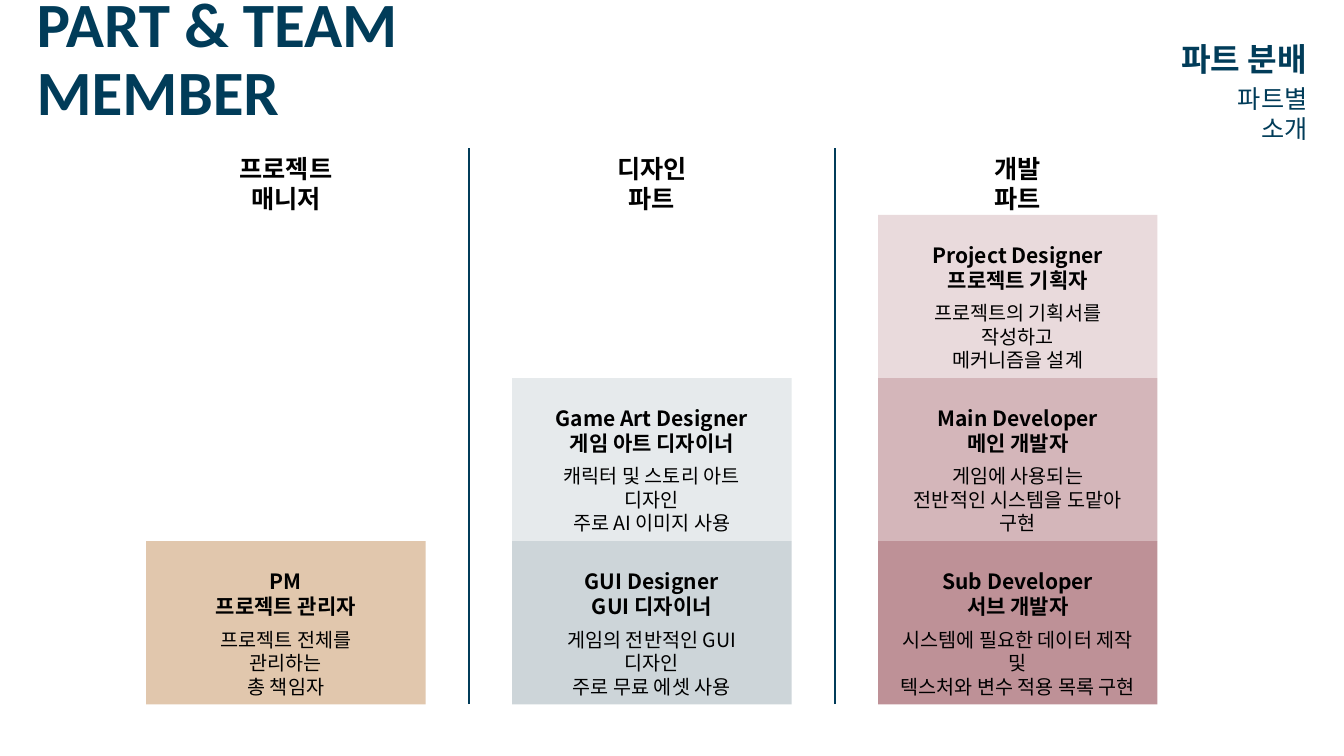
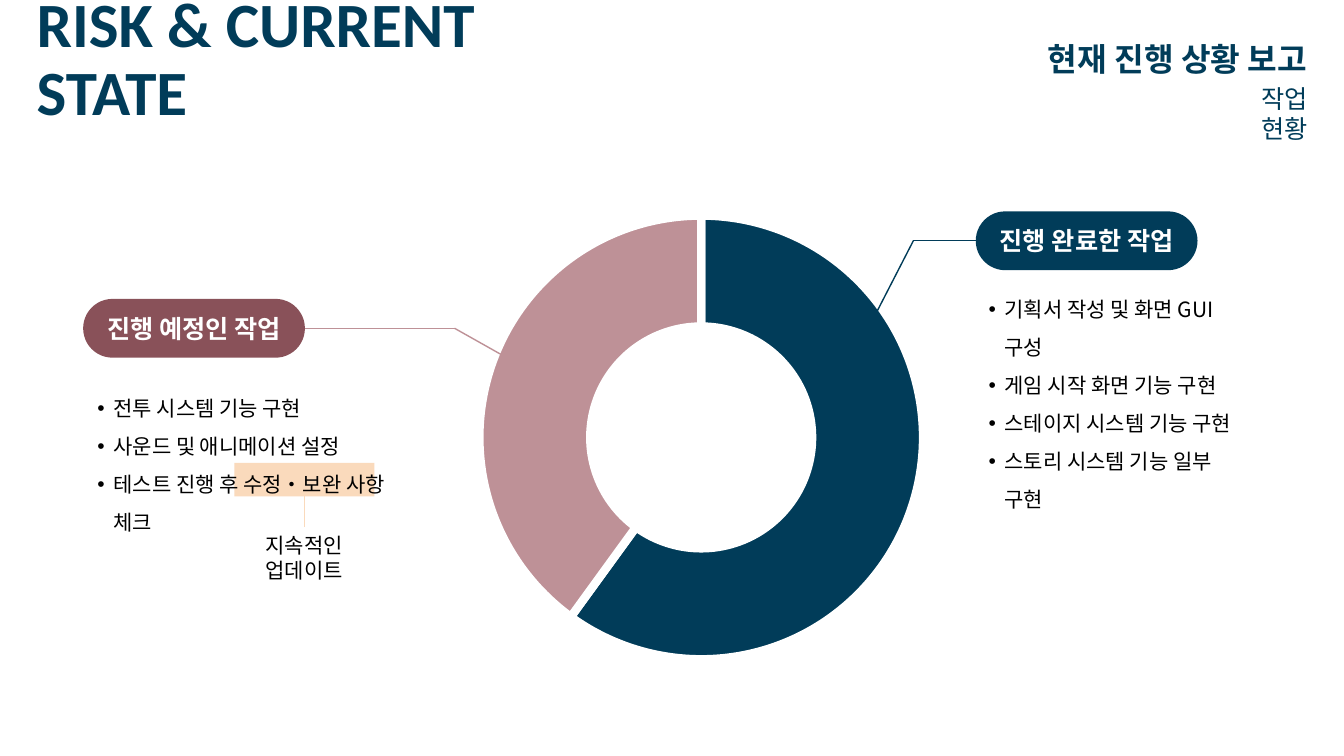
from lxml import etree
from pptx import Presentation
from pptx import oxml
from pptx.chart.data import CategoryChartData
from pptx.dml.color import RGBColor
from pptx.enum import chart as charts, shapes, text
from pptx.oxml import ns
from pptx.util import Pt

NAVY = RGBColor(0x01, 0x3C, 0x59)
BLACK = RGBColor(0, 0, 0)
WHITE = RGBColor(0xFF, 0xFF, 0xFF)
SAND = RGBColor(0xE1, 0xC7, 0xAD)
MIST = RGBColor(0xE6, 0xEA, 0xEC)
SLATE = RGBColor(0xCD, 0xD5, 0xD9)
BLUSH = RGBColor(0xE9, 0xDA, 0xDC)
PINK = RGBColor(0xD4, 0xB6, 0xBA)
ROSE = RGBColor(0xBE, 0x91, 0x97)
WINE = RGBColor(0x89, 0x51, 0x59)
PEACH = RGBColor(0xFA, 0xDA, 0xBC)

LEFT, CENTER, RIGHT = text.PP_ALIGN.LEFT, text.PP_ALIGN.CENTER, text.PP_ALIGN.RIGHT
TOP, MIDDLE = text.MSO_ANCHOR.TOP, text.MSO_ANCHOR.MIDDLE
RECTANGLE = shapes.MSO_SHAPE.RECTANGLE
PILL = shapes.MSO_SHAPE.ROUNDED_RECTANGLE
SITE_TOP, SITE_LEFT, SITE_BOTTOM, SITE_RIGHT = range(4)
RIGHT_EDGE = 941
BODY_FONT = "Noto Sans CJK KR"
LINE_RATIO = 1.2


def points(*values):
    return [Pt(value) for value in values]


class Deck:
    def __init__(self):
        self.presentation = Presentation()
        self.presentation.slide_width, self.presentation.slide_height = points(960, 540)
        self.slide = None

    def new_slide(self, layout, title, headline, subtitle, subtitle_width):
        self.slide = self.presentation.slides.add_slide(self.presentation.slide_layouts[layout])
        self.placeholder(0, (19, 16.5, 416, 54), [title], 45, bold=True, color=NAVY,
                         name="Calibri", anchor=MIDDLE, spacing=0.9)
        self.placeholder(1, (RIGHT_EDGE - 366, 16.5, 366, 54), [headline], 23, bold=True,
                         color=NAVY, align=RIGHT, anchor=MIDDLE, spacing=0.9)
        self.label((RIGHT_EDGE - subtitle_width, 56, subtitle_width, 29), subtitle, 18,
                   color=NAVY, align=RIGHT)

    def paragraph(self, frame, first, words, size, bold=False, color=BLACK, name=BODY_FONT,
                  align=LEFT, spacing=None, before=0, bullet=False):
        paragraph = frame.paragraphs[0] if first else frame.add_paragraph()
        properties = paragraph._p.get_or_add_pPr()
        properties.set("marL", str(Pt(14.4) if bullet else 0))
        properties.set("indent", str(-Pt(11.5) if bullet else 0))
        mark = etree.SubElement(properties, ns.qn("a:buChar" if bullet else "a:buNone"))
        if bullet:
            mark.set("char", "•")
        layout = {"alignment": align, "space_before": Pt(before), "space_after": Pt(0),
                  "line_spacing": spacing or Pt(size * LINE_RATIO)}
        for key, value in layout.items():
            setattr(paragraph, key, value)
        run = paragraph.add_run()
        run.text = words
        for key, value in {"size": Pt(size), "bold": bold, "name": name}.items():
            setattr(run.font, key, value)
        run.font.color.rgb = color
        east_asian = etree.SubElement(run._r.get_or_add_rPr(), ns.qn("a:ea"))
        east_asian.set("typeface", name)

    def fill_frame(self, frame, lines, size, anchor=TOP, **style):
        frame_format = {"word_wrap": True, "auto_size": text.MSO_AUTO_SIZE.NONE,
                        "vertical_anchor": anchor}
        for key, value in frame_format.items():
            setattr(frame, key, value)
        for index, line in enumerate(lines):
            self.paragraph(frame, index == 0, line, size, **style)

    def placeholder(self, index, box, lines, size, **style):
        shape = self.slide.placeholders[index]
        for key, value in zip(("left", "top", "width", "height"), points(*box)):
            setattr(shape, key, value)
        self.slide.shapes._spTree.append(shape._element)
        self.fill_frame(shape.text_frame, lines, size, **style)

    def bullets(self, index, box, lines):
        self.placeholder(index, box, lines, 15, bullet=True, spacing=Pt(15 * LINE_RATIO * 1.5))

    def label(self, box, words, size, **style):
        shape = self.slide.shapes.add_textbox(*points(*box))
        self.fill_frame(shape.text_frame, [words], size, **style)
        return shape

    def block(self, kind, box, color):
        shape = self.slide.shapes.add_shape(kind, *points(*box))
        shape.shadow.inherit = False
        shape.fill.solid()
        shape.fill.fore_color.rgb = color
        shape.line.fill.background()
        return shape

    def pill(self, left, top, words, color):
        shape = self.block(PILL, (left, top, 158.4, 42), color)
        shape.adjustments[0] = 0.5
        self.fill_frame(shape.text_frame, [words], 18, bold=True, color=WHITE,
                        align=CENTER, anchor=MIDDLE)
        return shape

    def card(self, box, color, text_width, roles, duties):
        shape = self.block(RECTANGLE, box, color)
        frame = shape.text_frame
        side = Pt((box[2] - text_width) / 2 + 7.2)
        margins = {"margin_left": side, "margin_right": side, "margin_top": Pt(19.6)}
        for key, value in margins.items():
            setattr(frame, key, value)
        self.fill_frame(frame, roles, 15, bold=True, align=CENTER)
        for index, duty in enumerate(duties):
            self.paragraph(frame, False, duty, 14, align=CENTER, before=0 if index else 6)

    def line(self, start, end, color, begin=None, finish=None):
        connector = self.slide.shapes.add_connector(
            shapes.MSO_CONNECTOR.STRAIGHT, *points(*start, *end))
        connector.line.color.rgb = color
        connector.line.width = Pt(1)
        etree.SubElement(connector._element.spPr, ns.qn("a:effectLst"))
        if begin:
            connector.begin_connect(*begin)
        if finish:
            connector.end_connect(*finish)

    def doughnut(self, box, values, colors):
        data = CategoryChartData()
        data.categories = [str(number + 1) for number in range(len(values))]
        data.add_series("Series 1", values)
        chart = self.slide.shapes.add_chart(
            charts.XL_CHART_TYPE.DOUGHNUT, *points(*box), data).chart
        chart.has_legend = chart.has_title = False
        for key, value in {"name": BODY_FONT, "size": Pt(10)}.items():
            setattr(chart.font, key, value)
        chart.font.color.rgb = BLACK
        plot = chart.plots[0]
        plot.vary_by_categories = True
        plot.has_data_labels = False
        for index, color in enumerate(colors):
            part = plot.series[0].points[index].format
            part.fill.solid()
            part.fill.fore_color.rgb = color
            part.line.color.rgb = WHITE
            part.line.width = Pt(6)
        area = chart._chartSpace.find(".//" + ns.qn("c:plotArea"))
        area.find(".//" + ns.qn("c:holeSize")).set("val", "47")
        for old in area.findall(ns.qn("c:layout")):
            area.remove(old)
        diameter = 317
        width, height = diameter / box[2], diameter / box[3]
        settings = {"layoutTarget": "inner", "xMode": "edge", "yMode": "edge",
                    "x": (1 - width) / 2, "y": (1 - height) / 2, "w": width, "h": height}
        inner = "".join(f'<c:{key} val="{value}"/>' for key, value in settings.items())
        area.insert(0, oxml.parse_xml(
            f'<c:layout {ns.nsdecls("c")}><c:manualLayout>{inner}</c:manualLayout></c:layout>'))

    def remove_empty_placeholders(self):
        for shape in list(self.slide.placeholders):
            if not shape.text_frame.text:
                shape._element.getparent().remove(shape._element)


def build_team(deck):
    deck.new_slide(1, "PART & TEAM MEMBER", "파트 분배", "파트별 소개", 97)
    card_left, card_top, card_width, card_height, pitch = 104.4, 153.4, 199.6, 116.6, 261.4
    parts = [
        ("프로젝트 매니저", 128, [
            (SAND, 156, ["PM", "프로젝트 관리자"],
             ["프로젝트 전체를 관리하는", "총 책임자"])]),
        ("디자인 파트", 97, [
            (MIST, 175.6, ["Game Art Designer", "게임 아트 디자이너"],
             ["캐릭터 및 스토리 아트 디자인", "주로 AI 이미지 사용"]),
            (SLATE, 170.6, ["GUI Designer", "GUI 디자이너"],
             ["게임의 전반적인 GUI 디자인", "주로 무료 에셋 사용"])]),
        ("개발 파트", 81, [
            (BLUSH, 180.8, ["Project Designer", "프로젝트 기획자"],
             ["프로젝트의 기획서를 작성하고", "메커니즘을 설계"]),
            (PINK, 184.4, ["Main Developer", "메인 개발자"],
             ["게임에 사용되는", "전반적인 시스템을 도맡아 구현"]),
            (ROSE, 188, ["Sub Developer", "서브 개발자"],
             ["시스템에 필요한 데이터 제작 및", "텍스처와 변수 적용 목록 구현"])]),
    ]
    for column, (heading, heading_width, cards) in enumerate(parts):
        left = card_left + column * pitch
        if column:
            divider = left - (pitch - card_width) / 2
            deck.line((divider, 503), (divider, 106), NAVY)
        deck.label((left + (card_width - heading_width) / 2, 106, heading_width, 29),
                   heading, 18, bold=True, align=CENTER)
        for row, card in enumerate(cards, len(parts) - len(cards)):
            deck.card((left, card_top + row * card_height, card_width, card_height), *card)


def build_state(deck):
    deck.new_slide(4, "RISK & CURRENT STATE", "현재 진행 상황 보고", "작업 현황", 81)
    deck.doughnut((225.4, 141, 551, 343), (60, 40), (NAVY, ROSE))

    done = deck.pill(697, 151, "진행 완료한 작업", NAVY)
    deck.line((619, 237), (652.4, 172), NAVY)
    deck.line((652.4, 172), (697, 172), NAVY, finish=(done, SITE_LEFT))
    deck.bullets(2, (696, 199.5, 204.5, 113), [
        "기획서 작성 및 화면 GUI 구성", "게임 시작 화면 기능 구현",
        "스테이지 시스템 기능 구현", "스토리 시스템 기능 일부 구현"])

    planned = deck.pill(59.4, 213.5, "진행 예정인 작업", WINE)
    deck.line((217.8, 234.5), (324.7, 234.5), ROSE, begin=(planned, SITE_RIGHT))
    deck.line((324.7, 234.5), (363.6, 256.4), ROSE)
    highlight = deck.block(RECTANGLE, (167.4, 330.6, 100, 24), PEACH)
    deck.bullets(4, (59.4, 270, 245.5, 86), [
        "전투 시스템 기능 구현", "사운드 및 애니메이션 설정",
        "테스트 진행 후 수정・보완 사항 체크"])
    note = deck.label((155.9, 376.6, 123, 25), "지속적인 업데이트", 15, align=CENTER)
    deck.line((217.4, 376.6), (217.4, 354.6), PEACH,
              begin=(note, SITE_TOP), finish=(highlight, SITE_BOTTOM))
    deck.remove_empty_placeholders()


def main():
    deck = Deck()
    build_team(deck)
    build_state(deck)
    deck.presentation.save("out.pptx")


if __name__ == "__main__":
    main()
